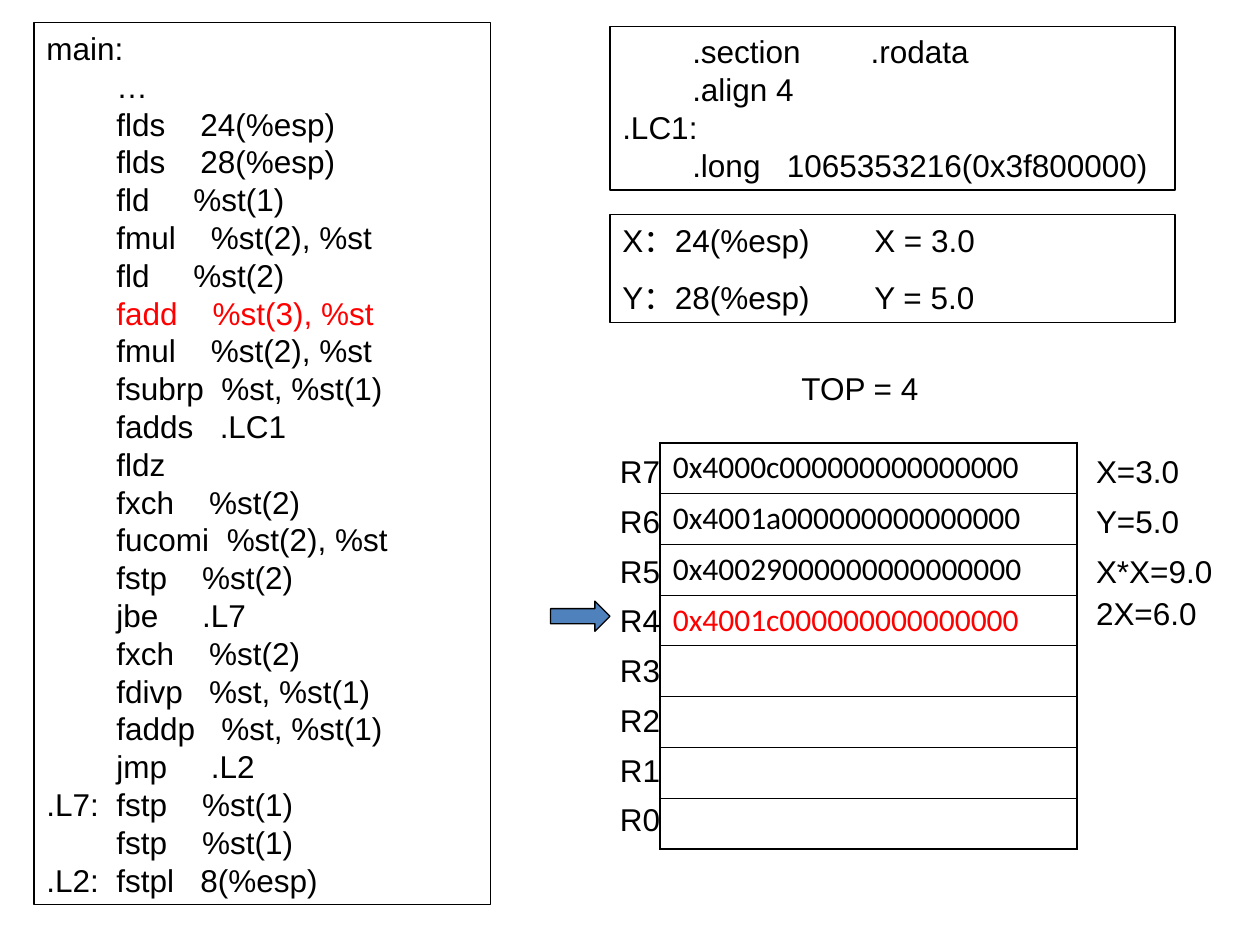
from dataclasses import dataclass

from lxml import etree
from pptx import Presentation
from pptx.dml.color import RGBColor
from pptx.enum import shapes, text
from pptx.oxml import ns
from pptx.util import Pt


@dataclass(frozen=True)
class Theme:
    ink: RGBColor = RGBColor(0, 0, 0)
    accent: RGBColor = RGBColor(255, 0, 0)
    arrow: RGBColor = RGBColor(0x4F, 0x81, 0xBD)
    code_font: str = "Arial"
    value_font: str = "Calibri"
    size: float = 18
    line: float = 21.6
    gap: float = 11.2
    outline: float = 0.75
    edge: float = 1.08
    rule: float = 0.45


THEME = Theme()
INDENT = 40
CURRENT = "fadd"
OPERAND_STOPS = {
    "flds": 88, "fld": 84, "fmul": 94, "fadd": 95, "fsubrp": 100,
    "fadds": 99, "fxch": 93, "fucomi": 103, "fstp": 89, "jbe": 89,
    "fdivp": 93, "faddp": 100, "jmp": 94, "fstpl": 88,
}
LISTING = [
    "main:", "\t…", "\tflds\t24(%esp)", "\tflds\t28(%esp)", "\tfld\t%st(1)",
    "\tfmul\t%st(2), %st", "\tfld\t%st(2)", "\tfadd\t%st(3), %st",
    "\tfmul\t%st(2), %st", "\tfsubrp\t%st, %st(1)", "\tfadds\t.LC1", "\tfldz",
    "\tfxch\t%st(2)", "\tfucomi\t%st(2), %st", "\tfstp\t%st(2)", "\tjbe\t.L7",
    "\tfxch\t%st(2)", "\tfdivp\t%st, %st(1)", "\tfaddp\t%st, %st(1)",
    "\tjmp\t.L2", ".L7:\tfstp\t%st(1)", "\tfstp\t%st(1)", ".L2:\tfstpl\t8(%esp)",
]
RODATA = [
    ("\t.section\t.rodata", 142), ("\t.align 4", None),
    (".LC1:", None), ("\t.long\t1065353216(0x3f800000)", 94),
]
VARIABLES = ["X：24(%esp)\tX = 3.0", "Y：28(%esp)\tY = 5.0"]
REGISTERS = [
    ("0x4000c000000000000000", "X=3.0", 0),
    ("0x4001a000000000000000", "Y=5.0", 0),
    ("0x40029000000000000000", "X*X=9.0", 0),
    ("0x4001c000000000000000", "2X=6.0", -4.5),
]
REGISTER_COUNT = 8
TOP = 4


def style(para, font=THEME.code_font, color=THEME.ink):
    para.font.name = font
    para.font.size = Pt(THEME.size)
    para.font.color.rgb = color


def set_tabs(para, stops):
    properties = para._p.get_or_add_pPr()
    tabs = etree.Element(ns.qn("a:tabLst"))
    for stop in stops:
        etree.SubElement(tabs, ns.qn("a:tab"), pos=str(Pt(stop)), algn="l")
    properties.find(ns.qn("a:defRPr")).addprevious(tabs)


def add_lines(frame, lines, gap=0):
    for index, (line, stops, color) in enumerate(lines):
        para = frame.paragraphs[0] if index == 0 else frame.add_paragraph()
        para.text = line
        para.alignment = text.PP_ALIGN.LEFT
        para.line_spacing = Pt(THEME.line)
        para.space_before = Pt(gap if index else 0)
        style(para, color=color)
        if stops:
            set_tabs(para, stops)


def add_panel(page, box, lines, gap=0):
    panel = page.shapes.add_textbox(*map(Pt, box))
    panel.line.color.rgb = THEME.ink
    panel.line.width = Pt(THEME.outline)
    panel.text_frame.word_wrap = True
    add_lines(panel.text_frame, lines, gap)


def add_label(page, box, label):
    frame = page.shapes.add_textbox(*map(Pt, box)).text_frame
    frame.margin_left = frame.margin_right = 0
    frame.margin_top = frame.margin_bottom = 0
    frame.word_wrap = True
    add_lines(frame, [(label, [], THEME.ink)])


def add_listing(page, box):
    lines = []
    for line in LISTING:
        opcode = line.split("\t")[1] if "\t" in line else ""
        stops = [INDENT]
        if opcode in OPERAND_STOPS:
            stops.append(OPERAND_STOPS[opcode])
        lines.append((line, stops, THEME.accent if opcode == CURRENT else THEME.ink))
    add_panel(page, box, lines)


def add_rodata(page, box):
    add_panel(page, box, [
        (line, [INDENT, stop] if stop else [INDENT], THEME.ink) for line, stop in RODATA
    ])


def add_variables(page, box):
    add_panel(page, box, [(line, [144], THEME.ink) for line in VARIABLES], THEME.gap)


def set_borders(cell, widths):
    properties = cell._tc.get_or_add_tcPr()
    for side, width in widths.items():
        border = etree.SubElement(properties, ns.qn(f"a:ln{side}"), w=str(Pt(width)))
        fill = etree.SubElement(border, ns.qn("a:solidFill"))
        etree.SubElement(fill, ns.qn("a:srgbClr"), val=str(THEME.ink))


def add_stack(page, box):
    left, top, width, height = box
    table = page.shapes.add_table(REGISTER_COUNT, 1, *map(Pt, box)).table
    table.first_row = table.horz_banding = False
    last = REGISTER_COUNT - 1
    for row in range(REGISTER_COUNT):
        table.rows[row].height = Pt(height / REGISTER_COUNT)
        cell = table.cell(row, 0)
        set_borders(cell, {
            "L": THEME.edge, "R": THEME.edge,
            "T": THEME.rule if row else THEME.edge,
            "B": THEME.edge if row == last else THEME.rule,
        })
        cell.fill.background()
        cell.margin_top = cell.margin_bottom = Pt(3)
        cell.vertical_anchor = text.MSO_ANCHOR.MIDDLE
        register = last - row
        label_top = top + 5.5 + 28.4 * row
        add_label(page, (left - 23, label_top, 28, THEME.line), f"R{register}")
        if row < len(REGISTERS):
            value, meaning, shift = REGISTERS[row]
            cell.text = value
            style(cell.text_frame.paragraphs[0], THEME.value_font,
                  THEME.accent if register == TOP else THEME.ink)
            meaning_box = (left + width + 11, label_top + shift, 79, THEME.line)
            add_label(page, meaning_box, meaning)
        if register == TOP:
            add_pointer(page, (left - 62.7, label_top - 0.2, 34, 17.3))


def add_pointer(page, box):
    arrow = page.shapes.add_shape(shapes.MSO_SHAPE.RIGHT_ARROW, *map(Pt, box))
    arrow.shadow.inherit = False
    arrow.fill.solid()
    arrow.fill.fore_color.rgb = THEME.arrow
    arrow.line.color.rgb = THEME.ink
    arrow.line.width = Pt(THEME.outline)


def main():
    deck = Presentation()
    deck.slide_width, deck.slide_height = Pt(720), Pt(540)
    page = deck.slides.add_slide(deck.slide_layouts[6])
    add_listing(page, (19.5, 13, 261, 504))
    add_rodata(page, (348.5, 15, 323, 93.6))
    add_variables(page, (348.5, 122.5, 323, 62))
    add_label(page, (458, 211, 78, THEME.line), f"TOP = {TOP}")
    add_stack(page, (377.3, 253, 238, 232))
    deck.save("out.pptx")


if __name__ == "__main__":
    main()
